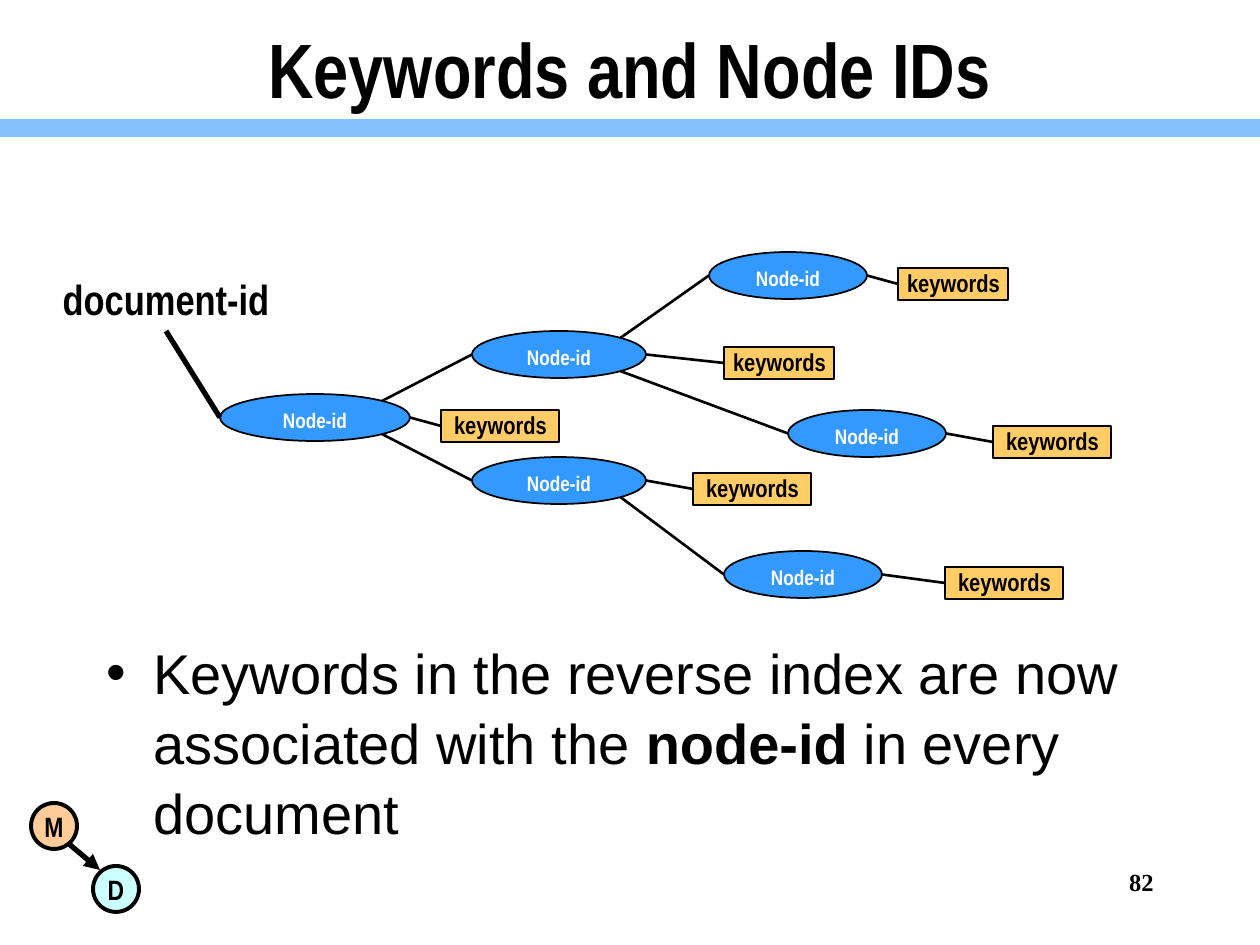
from collections import namedtuple
from dataclasses import dataclass
from math import sqrt

from lxml.etree import SubElement
from pptx import Presentation
from pptx.dml.color import RGBColor as RGB
from pptx.enum.shapes import MSO_CONNECTOR as CONN, MSO_SHAPE as SHAPE
from pptx.enum.text import MSO_ANCHOR as ANCHOR, PP_ALIGN as ALIGN
from pptx.oxml.ns import qn
from pptx.util import Pt

SCALE = 914400 / 126  # EMU in one px
Box = namedtuple("Box", "x y w h")
Node = namedtuple("Node", "x y w parent gap key")


@dataclass(frozen=True)
class Theme:
    ink: str = "000000"
    white: str = "FFFFFF"
    bar: str = "85C1FF"
    node: str = "3399FF"
    key: str = "FFCC66"
    model: str = "FFCC99"
    data: str = "CCFFFF"
    head: str = "Arial Narrow"
    text: str = "Arial"
    serif: str = "Times New Roman"
    title: int = 44
    body: int = 32
    label: int = 24
    badge: int = 16
    small: int = 14
    tiny: int = 12


T = Theme()

# Places are relative to the tree box; gap runs from a node to its keyword box.
NODES = {
    "root": Node(0, 142, 190, None, 31, 118),
    "upper": Node(252, 79, 174, "root", 78, 110),
    "lower": Node(252, 205, 174, "root", 47, 118),
    "top": Node(489, 0, 158, "upper", 31, 110),
    "middle": Node(568, 158, 158, "upper", 47, 118),
    "bottom": Node(504, 299, 158, "lower", 63, 118),
}
NODE_H, KEY_H, DROP = 47, 32, 16


def px(*vals):
    return [round(v * SCALE) for v in vals]


def style(para, size, face=T.head, color=T.ink, bold=True, align=ALIGN.CENTER):
    para.alignment = align
    font = para.font
    font.size, font.name, font.bold = Pt(size), face, bold
    font.color.rgb = RGB.from_string(color)


def label(slide, box, text, size, anchor=ANCHOR.TOP, wrap=True, **look):
    frame = slide.shapes.add_textbox(*px(*box)).text_frame
    frame.word_wrap, frame.vertical_anchor = wrap, anchor
    para = frame.paragraphs[0]
    para.text = text
    style(para, size, **look)


def shape(slide, kind, box, fill, width, text, size, color=T.ink,
          anchor=ANCHOR.TOP, wrap=True):
    item = slide.shapes.add_shape(kind, *px(*box))
    item.shadow.inherit = False
    item.fill.solid()
    item.fill.fore_color.rgb = RGB.from_string(fill)
    item.line.color.rgb = RGB.from_string(T.ink)
    item.line.width = Pt(width)
    frame = item.text_frame
    frame.word_wrap, frame.vertical_anchor = wrap, anchor
    para = frame.paragraphs[0]
    para.text = text
    style(para, size, color=color)
    return frame


def line(slide, start, end, width, color=T.ink, arrow=False):
    item = slide.shapes.add_connector(CONN.STRAIGHT, *px(*start, *end))
    item.line.color.rgb = RGB.from_string(color)
    item.line.width = Pt(width)
    if arrow:
        SubElement(item.line._get_or_add_ln(), qn("a:tailEnd"), type="triangle")
    SubElement(item._element.spPr, qn("a:effectLst"))


def header(slide, box):
    mid = box.y + box.h - 8
    line(slide, (box.x, mid), (box.x + box.w, mid), 10, T.bar)
    label(slide, Box(box.x + 94, box.y, box.w - 188, box.h),
          "Keywords and Node IDs", T.title, ANCHOR.MIDDLE)


def badges(slide, box):
    """Draw the M and D circles in opposite corners, joined by an arrow."""
    size = 46
    far = Box(box.x + box.w - size, box.y + box.h - size, size, size)
    for spot, fill, text in ((Box(box.x, box.y, size, size), T.model, "M"),
                             (far, T.data, "D")):
        shape(slide, SHAPE.OVAL, spot, fill, 2.25, text, T.badge,
              anchor=ANCHOR.MIDDLE, wrap=False)
    line(slide, (box.x + 38, box.y + 41), (far.x + 7, far.y + 4), 3, arrow=True)


def bullet(slide, box):
    frame = slide.shapes.add_textbox(*px(*box)).text_frame
    frame.word_wrap = True
    para = frame.paragraphs[0]
    props = para._p.get_or_add_pPr()
    indent, = px(47)
    props.set("marL", str(indent))
    props.set("indent", str(-indent))
    SubElement(props, qn("a:buFont"), typeface=T.text)
    SubElement(props, qn("a:buChar"), char="•")
    style(para, T.body, T.text, bold=False, align=ALIGN.LEFT)
    para.line_spacing = 1.04
    for text, bold in (
            ("Keywords in the reverse index are now associated with the ", False),
            ("node-id", True), (" in every document", False)):
        run = para.add_run()
        run.text, run.font.bold = text, bold


def rim(node, side):
    """Give the point on a node's right half: side -1 up, 0 middle, 1 down."""
    reach = 1 / sqrt(2) if side else 1
    return (node.x + node.w / 2 * (1 + reach),
            node.y + NODE_H / 2 * (1 + side * reach))


def tree(slide, box):
    nodes = {name: n._replace(x=box.x + n.x, y=box.y + n.y)
             for name, n in NODES.items()}
    for n in nodes.values():
        shape(slide, SHAPE.OVAL, Box(n.x, n.y, n.w, NODE_H), T.node, 1,
              "Node-id", T.tiny, T.white)
        key = Box(n.x + n.w + n.gap, n.y + DROP, n.key, KEY_H)
        frame = shape(slide, SHAPE.RECTANGLE, key, T.key, 0.75,
                      "keywords", T.small)
        frame.margin_left, frame.margin_bottom = px(1, 1)
        frame.margin_top = frame.margin_right = 0
        line(slide, rim(n, 0), (key.x, key.y + KEY_H / 2), 1.5)
        if n.parent:
            top = nodes[n.parent]
            side = 1 if n.y > top.y else -1
            line(slide, rim(top, side), (n.x, n.y + NODE_H / 2), 1.5)


def source(slide, box, end):
    """Place the document label and its line to the root node."""
    label(slide, box, "document-id", T.label, wrap=False)
    line(slide, (box.x + box.w / 2, box.y + box.h), end, 3)


def main():
    deck = Presentation()
    deck.slide_width, deck.slide_height = px(1260, 945)
    slide = deck.slides.add_slide(deck.slide_layouts[6])
    area = Box(220, 252, 892, 347)
    root = NODES["root"]
    badges(slide, Box(31, 803, 108, 109))
    header(slide, Box(0, 0, 1260, 136))
    bullet(slide, Box(94, 630, 1072, 236))
    label(slide, Box(1092, 861, 74, 63), "82", T.small,
          face=T.serif, align=ALIGN.RIGHT)
    tree(slide, area)
    source(slide, Box(49, 267, 234, 64),
           (area.x + root.x, area.y + root.y + NODE_H / 2))
    deck.save("out.pptx")


if __name__ == "__main__":
    main()
